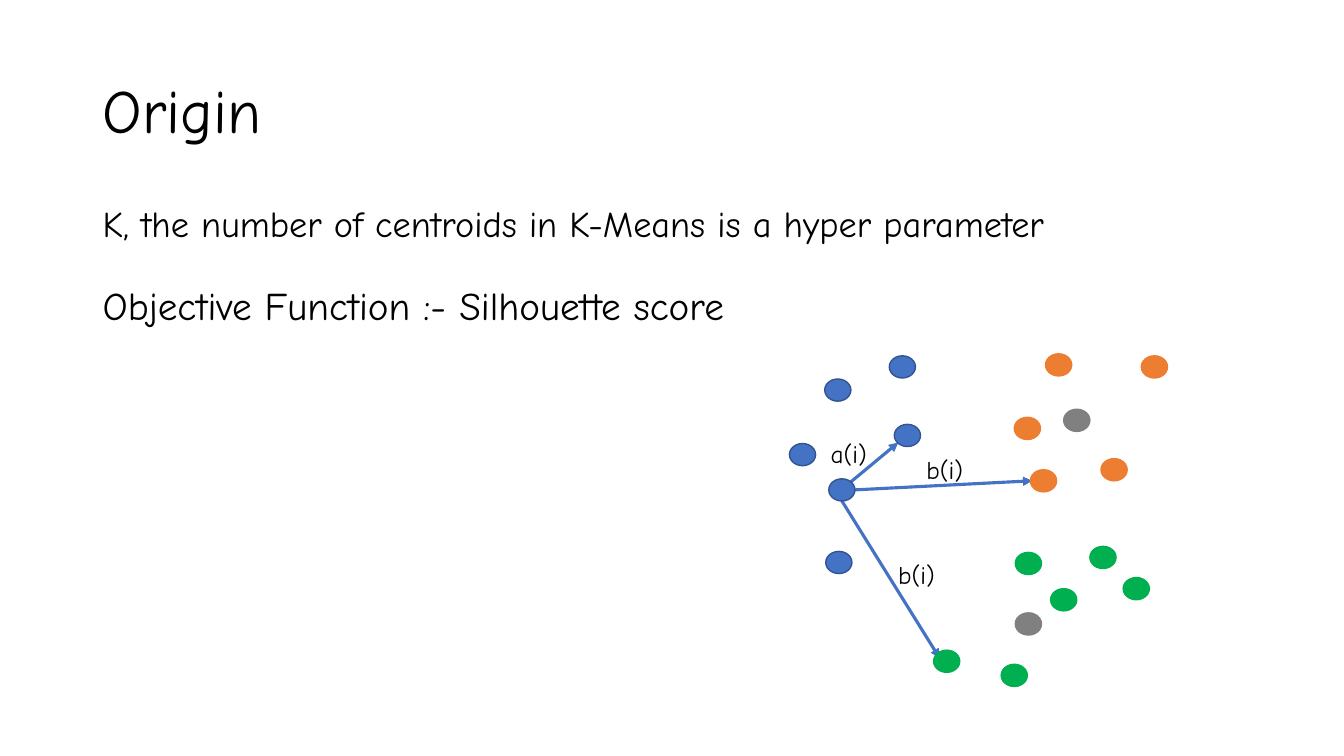
from lxml import etree
from pptx import Presentation, util as u
from pptx.dml.color import RGBColor
from pptx.enum import shapes, text
from pptx.oxml import ns

BLACK = RGBColor(0x00, 0x00, 0x00)
BLUE = RGBColor(0x44, 0x72, 0xC4)
NAVY = RGBColor(0x32, 0x54, 0x91)
ORANGE = RGBColor(0xED, 0x7D, 0x31)
GREEN = RGBColor(0x00, 0xB0, 0x50)
GRAY = RGBColor(0x80, 0x80, 0x80)
FONT = "Comic Neue"
DOT = (0.26, 0.22)

lines = [
    ("Origin", (0.92, 0.4, 11.5, 1.45), 44, text.MSO_ANCHOR.MIDDLE),
    ("K, the number of centroids in K-Means is a hyper parameter",
     (0.92, 2, 10.58, 0.64), 25.9, text.MSO_ANCHOR.TOP),
    ("Objective Function :- Silhouette score",
     (0.92, 2.79, 10.58, 0.64), 28, text.MSO_ANCHOR.TOP),
]
labels = [
    ("a(i)", (8.14, 4.3, 0.59, 0.4)),
    ("b(i)", (9.09, 4.46, 0.61, 0.4)),
    ("b(i)", (8.81, 5.5, 0.61, 0.4)),
]
arrows = [
    (8.44, 4.78, 8.91, 4.39),
    (8.35, 4.97, 9.32, 6.53),
    (8.48, 4.86, 10.24, 4.77),
]
groups = [
    (BLUE, NAVY, [(7.83, 4.4), (8.22, 4.75), (8.82, 3.53), (8.87, 4.21),
                  (8.18, 3.76), (8.19, 5.47)]),
    (ORANGE, ORANGE, [(10.37, 3.51), (10.06, 4.14), (11.32, 3.53),
                      (10.92, 4.55), (10.22, 4.66)]),
    (GREEN, GREEN, [(10.42, 5.84), (9.26, 6.45), (9.93, 6.59),
                    (11.14, 5.73), (10.07, 5.48), (10.81, 5.42)]),
    (GRAY, GRAY, [(10.55, 4.06), (10.07, 6.08)]),
]

deck = Presentation()
deck.slide_width, deck.slide_height = u.Inches(13.33), u.Inches(7.5)
slide = deck.slides.add_slide(deck.slide_layouts[6])


def inch(nums):
    return [u.Inches(n) for n in nums]


def put(obj, vals):
    for key, val in vals.items():
        setattr(obj, key, val)


def write(words, spot, size, frame, space):
    box = slide.shapes.add_textbox(*inch(spot)).text_frame
    put(box, frame)
    para = box.paragraphs[0]
    para.line_spacing = space
    run = para.add_run()
    run.text = words
    put(run.font, {"name": FONT, "size": u.Pt(size)})
    run.font.color.rgb = BLACK


def arrow(ends):
    link = slide.shapes.add_connector(shapes.MSO_CONNECTOR.STRAIGHT, *inch(ends))
    link.line.color.rgb = BLUE
    link.line.width = u.Pt(2.25)
    props = link._element.spPr
    etree.SubElement(props.find(ns.qn("a:ln")), ns.qn("a:tailEnd"), type="triangle")
    etree.SubElement(props, ns.qn("a:effectLst"))


def dot(spot, fill, edge):
    mark = slide.shapes.add_shape(shapes.MSO_SHAPE.OVAL, *inch(spot + DOT))
    mark.shadow.inherit = False
    mark.fill.solid()
    mark.fill.fore_color.rgb = fill
    mark.line.color.rgb = edge
    mark.line.width = u.Pt(1)


for words, spot, size, anchor in lines:
    write(words, spot, size, {"word_wrap": True, "vertical_anchor": anchor}, 0.9)
for ends in arrows:
    arrow(ends)
for words, spot in labels:
    write(words, spot, 18, {"word_wrap": False,
                            "auto_size": text.MSO_AUTO_SIZE.SHAPE_TO_FIT_TEXT}, 1.0)
for fill, edge, spots in groups:
    for spot in spots:
        dot(spot, fill, edge)

deck.save("out.pptx")
